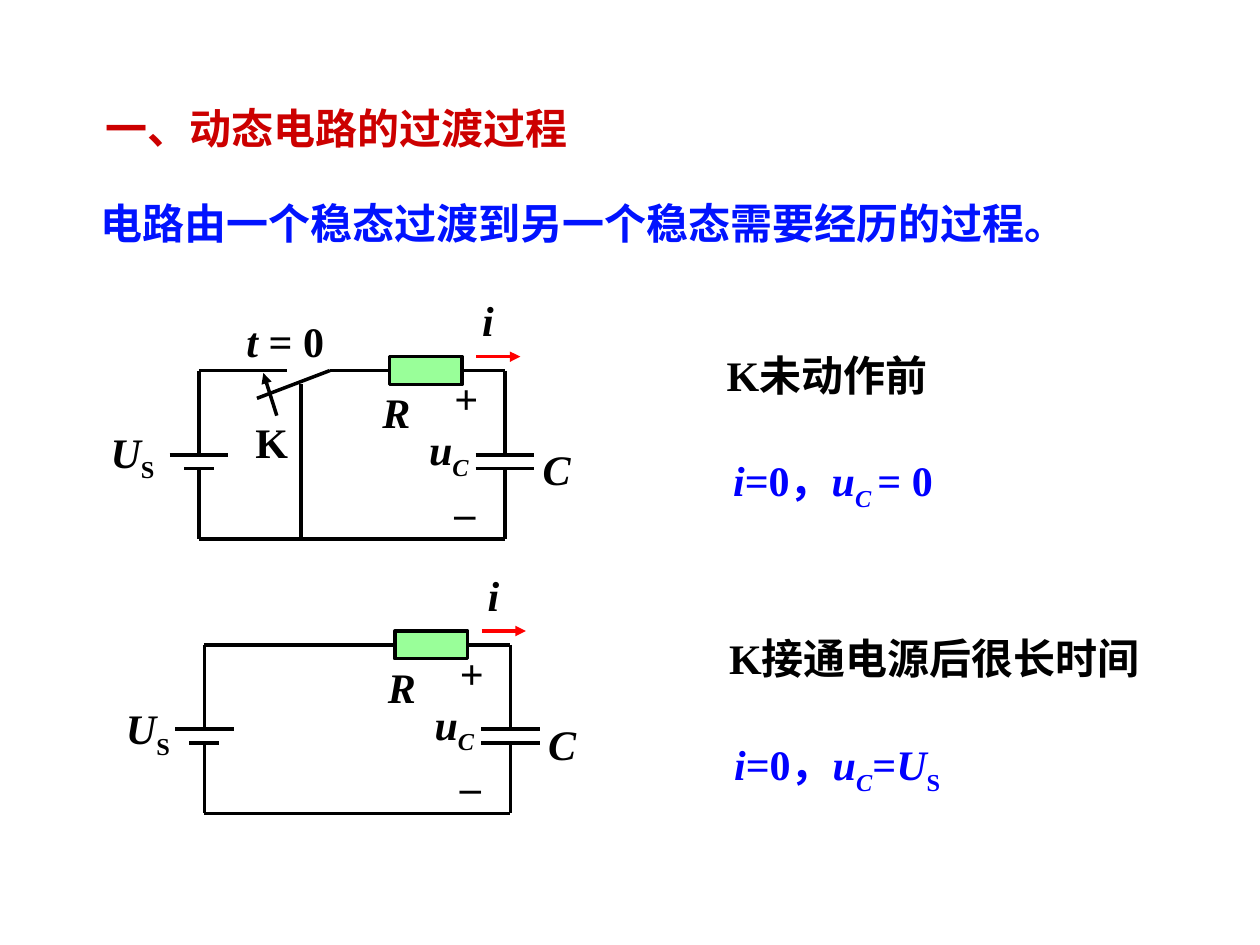
from dataclasses import dataclass

from lxml.etree import SubElement
from pptx import Presentation
from pptx.dml.color import RGBColor
from pptx.enum.shapes import MSO_CONNECTOR as Connector, MSO_SHAPE as Preset
from pptx.enum.text import MSO_ANCHOR as Anchor, MSO_AUTO_SIZE as AutoSize, PP_ALIGN as Align
from pptx.oxml.ns import qn
from pptx.util import Cm, Pt


@dataclass(frozen=True)
class Theme:
    font: str = "Times New Roman"
    size: int = 24
    line_width: float = 2
    ink: str = "000000"
    heading: str = "CC0000"
    definition: str = "0113FF"
    result: str = "0000FF"
    current: str = "FF0000"
    resistor: str = "99FF99"


@dataclass(frozen=True)
class Span:
    text: str
    italic: bool = False
    sub: bool = False


THEME = Theme()
SOURCE_VOLTAGE = [Span("U", italic=True), Span("S", sub=True)]
CAPACITOR_VOLTAGE = [Span("u", italic=True), Span("C", italic=True, sub=True)]
NO_CURRENT = [Span("i", italic=True), Span("=0，")]

# Circuit geometry in cm, measured from its top left corner
RIGHT, BOTTOM = 6.17, 3.4
UPPER_PLATE, LOWER_PLATE = 1.7, 1.98
LONG_HALF, SHORT_HALF = 0.59, 0.3
RESISTOR_LEFT, RESISTOR_WIDTH, RESISTOR_HEIGHT = 3.84, 1.47, 0.56


def write(frame, spans, color):
    frame.vertical_anchor = Anchor.MIDDLE
    paragraph = frame.paragraphs[0]
    paragraph.alignment = Align.LEFT
    for span in spans:
        run = paragraph.add_run()
        run.text = span.text
        font = run.font
        font.name, font.size = THEME.font, Pt(THEME.size)
        font.bold, font.italic = True, span.italic
        font.color.rgb = RGBColor.from_string(color)
        if span.sub:
            run._r.get_or_add_rPr().set("baseline", "-25000")


def add_text(shapes, x, y, width, spans, color=THEME.ink, wrap=True):
    height = 1.42 if any(span.sub for span in spans) else 1.27
    frame = shapes.add_textbox(Cm(x), Cm(y), Cm(width), Cm(height)).text_frame
    frame.word_wrap = wrap
    frame.auto_size = AutoSize.SHAPE_TO_FIT_TEXT
    write(frame, spans, color)


def fill_title(title):
    title.left, title.top, title.width, title.height = Cm(1.88), Cm(1.93), Cm(12.4), Cm(1.27)
    title.text_frame.auto_size = AutoSize.NONE
    write(title.text_frame, [Span("一、动态电路的过渡过程")], THEME.heading)


class Circuit:
    """A group whose parts are placed from the circuit's top left corner."""

    def __init__(self, slide, left, top):
        self.shapes = slide.shapes.add_group_shape().shapes
        self.left, self.top = left, top

    def line(self, x1, y1, x2, y2, color=THEME.ink, arrow=False):
        wire = self.shapes.add_connector(
            Connector.STRAIGHT,
            Cm(self.left + x1), Cm(self.top + y1), Cm(self.left + x2), Cm(self.top + y2))
        wire.line.color.rgb = RGBColor.from_string(color)
        wire.line.width = Pt(THEME.line_width)
        if arrow:
            SubElement(wire.line._get_or_add_ln(), qn("a:tailEnd"), type="triangle")
        SubElement(wire._element.spPr, qn("a:effectLst"))
        return wire

    def label(self, x, y, width, spans):
        add_text(self.shapes, self.left + x, self.top + y, width, spans, wrap=False)

    def resistor(self, feed_start):
        """Draw the resistor and the top wire on both of its sides."""
        body = self.shapes.add_shape(
            Preset.RECTANGLE,
            Cm(self.left + RESISTOR_LEFT), Cm(self.top - RESISTOR_HEIGHT / 2),
            Cm(RESISTOR_WIDTH), Cm(RESISTOR_HEIGHT))
        body.shadow.inherit = False
        body.fill.solid()
        body.fill.fore_color.rgb = RGBColor.from_string(THEME.resistor)
        body.line.color.rgb = RGBColor.from_string(THEME.ink)
        body.line.width = Pt(THEME.line_width)
        self.line(feed_start, 0, RESISTOR_LEFT, 0).end_connect(body, 1)
        self.line(RESISTOR_LEFT + RESISTOR_WIDTH, 0, RIGHT, 0).begin_connect(body, 3)

    def plates(self, x, lower_half):
        """Draw a vertical branch broken by two plates."""
        self.line(x, 0, x, UPPER_PLATE)
        self.line(x - LONG_HALF, UPPER_PLATE, x + LONG_HALF, UPPER_PLATE)
        self.line(x - lower_half, LOWER_PLATE, x + lower_half, LOWER_PLATE)
        self.line(x, LOWER_PLATE, x, BOTTOM)

    def loop(self, feed_start, source_x, source_y):
        self.plates(0, SHORT_HALF)
        self.plates(RIGHT, LONG_HALF)
        self.line(0, BOTTOM, RIGHT, BOTTOM)
        self.resistor(feed_start)
        self.line(5.59, -0.28, 6.48, -0.28, THEME.current, arrow=True)
        self.label(5.46, -1.65, 0.74, [Span("i", italic=True)])
        self.label(3.45, 0.2, 1.07, [Span("R", italic=True)])
        self.label(6.68, 1.35, 1.07, [Span("C", italic=True)])
        self.label(4.9, -0.08, 0.99, [Span("+")])
        self.label(4.9, 2.21, 0.91, [Span("–")])
        self.label(4.39, 0.94, 1.3, CAPACITOR_VOLTAGE)
        self.label(source_x, source_y, 1.4, SOURCE_VOLTAGE)

    def switch(self, pivot):
        self.line(0, 0, 1.78, 0)
        self.line(pivot, 0, 1.17, 0.56)
        self.line(2.06, 0.28, 2.06, BOTTOM)
        self.line(1.57, 0.91, 1.3, 0.05, arrow=True)
        self.label(0.89, 0.79, 1.17, [Span("K")])
        self.label(0.71, -1.24, 2.08, [Span("t ", italic=True), Span("= 0")])


def main():
    deck = Presentation()
    deck.slide_width, deck.slide_height = Cm(25.4), Cm(19.05)
    slide = deck.slides.add_slide(deck.slide_layouts[5])
    fill_title(slide.shapes.title)
    add_text(slide.shapes, 1.78, 3.86, 21.6,
             [Span("电路由一个稳态过渡到另一个稳态需要经历的过程。")], THEME.definition)

    pivot = 2.64
    before = Circuit(slide, 4.01, 7.47)
    before.loop(pivot, -2.03, 0.99)
    before.switch(pivot)
    after = Circuit(slide, 4.12, 13)
    after.loop(0, -1.83, 1.04)

    add_text(slide.shapes, 14.4, 6.91, 5.89, [Span("K未动作前")])
    add_text(slide.shapes, 14.53, 9.04, 5.77,
             NO_CURRENT + [Span("u", italic=True), Span("C ", italic=True, sub=True),
                           Span("= 0")], THEME.result)
    add_text(slide.shapes, 14.45, 12.62, 9.86, [Span("K接通电源后很长时间")])
    add_text(slide.shapes, 14.55, 14.76, 6.15,
             NO_CURRENT + CAPACITOR_VOLTAGE + [Span("=")] + SOURCE_VOLTAGE, THEME.result)
    deck.save("out.pptx")


if __name__ == "__main__":
    main()
